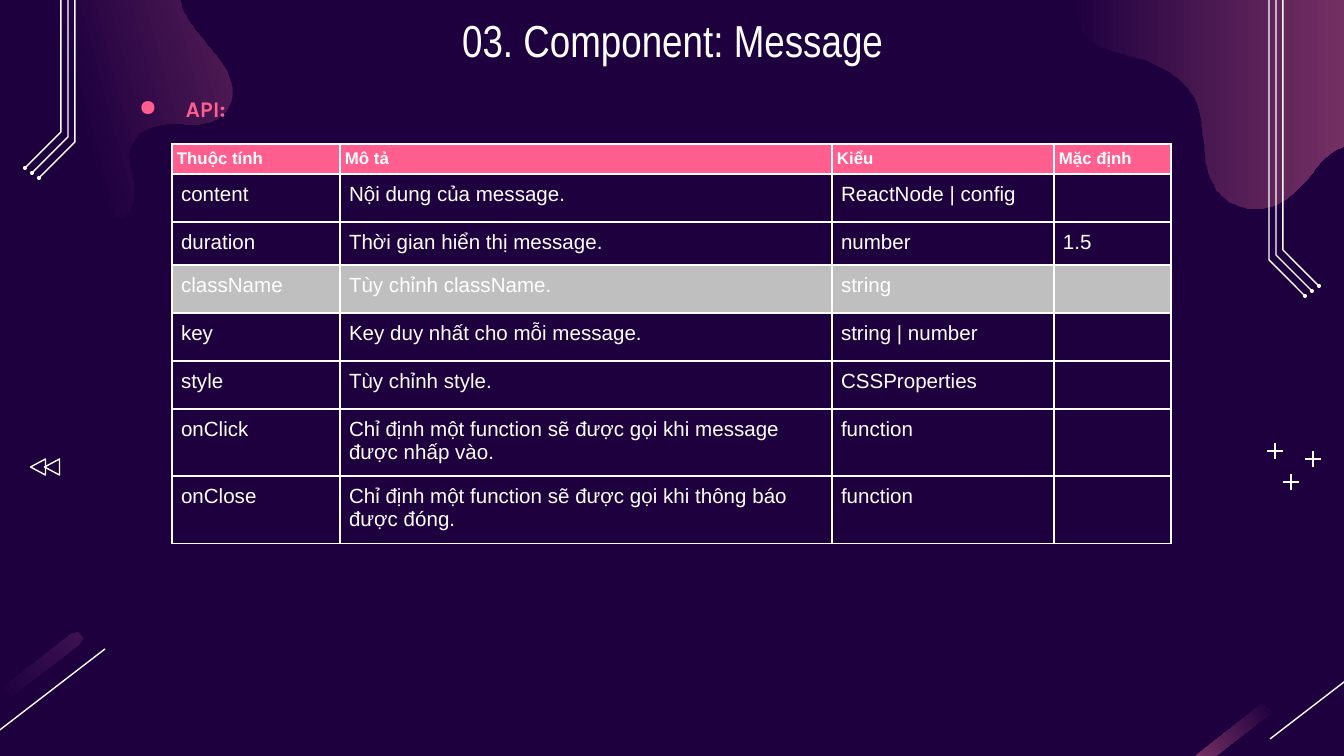
import dataclasses

import lxml.etree
import pptx
import pptx.dml.color
import pptx.enum.shapes
import pptx.enum.text
import pptx.oxml
import pptx.oxml.ns
import pptx.util

SCALE = 9144000 / 1344
SHAPES = pptx.enum.shapes.MSO_SHAPE


@dataclasses.dataclass
class Theme:
    bg: str = "1E003F"
    white: str = "FFFFFF"
    pink: str = "FF5E8E"
    gray: str = "BFBFBF"
    plum: str = "743063"
    dusk: str = "521C55"
    shade: str = "3D1150"
    font: str = "Arial"
    title_font: str = "Arial Narrow"
    label_font: str = "Karla"
    title_size: int = 24
    label_size: int = 12
    head_size: int = 9
    body_size: int = 11
    line: float = 0.75
    border: int = 1


def px(n):
    return round(n * SCALE)


def rgb(value):
    return pptx.dml.color.RGBColor.from_string(value)


def smooth(points, steps=8):
    padded = [points[0], *points, points[-1]]
    curve = []
    for a, b, c, d in zip(padded, padded[1:], padded[2:], padded[3:]):
        for t in (i / steps for i in range(steps)):
            curve.append(tuple(
                (2 * q + (r - p) * t + (2 * p - 5 * q + 4 * r - s) * t ** 2
                 + (3 * q - p - 3 * r + s) * t ** 3) / 2
                for p, q, r, s in zip(a, b, c, d)))
    return curve + [points[-1]]


class Deck:
    """Draws themed elements on the current slide."""

    def __init__(self, theme):
        self.theme = theme
        self.prs = pptx.Presentation()
        self.prs.slide_width, self.prs.slide_height = px(1344), px(756)

    def slide(self):
        self.s = self.prs.slides.add_slide(self.prs.slide_layouts[6])
        self.s.background.fill.solid()
        self.s.background.fill.fore_color.rgb = rgb(self.theme.bg)

    def stroke(self, sp):
        sp.line.color.rgb = rgb(self.theme.white)
        sp.line.width = pptx.util.Pt(self.theme.line)

    def outline(self, points, close):
        fb = self.s.shapes.build_freeform(*points[0], scale=SCALE)
        fb.add_line_segments(points[1:], close=close)
        sp = fb.convert_to_shape()
        sp.shadow.inherit = False
        return sp

    def gradient(self, points, colors, angle, start=0):
        sp = self.outline(points, True)
        sp.line.fill.background()
        sp.fill.gradient()
        sp.fill.gradient_angle = angle
        for stop, color, position in zip(sp.fill.gradient_stops, colors, (start, 1)):
            stop.color.rgb = rgb(color)
            stop.position = position

    def polyline(self, points):
        sp = self.outline(points, False)
        sp.fill.background()
        self.stroke(sp)

    def line(self, x1, y1, x2, y2):
        c = self.s.shapes.add_connector(
            pptx.enum.shapes.MSO_CONNECTOR.STRAIGHT, px(x1), px(y1), px(x2), px(y2))
        self.stroke(c)
        lxml.etree.SubElement(c._element.spPr, pptx.oxml.ns.qn("a:effectLst"))

    def shape(self, kind, cx, cy, w, h, rotation=0, filled=False):
        sp = self.s.shapes.add_shape(kind, px(cx - w / 2), px(cy - h / 2), px(w), px(h))
        sp.shadow.inherit = False
        sp.rotation = rotation
        if filled:
            sp.fill.solid()
            sp.fill.fore_color.rgb = rgb(self.theme.white)
            sp.line.fill.background()
        else:
            sp.fill.background()
            self.stroke(sp)

    def style(self, p, font, size, color, bold=False):
        p.font.name, p.font.size, p.font.bold = font, pptx.util.Pt(size), bold
        p.font.color.rgb = rgb(color)

    def text(self, text, x, y, w, h, font, size, color, bold=False):
        tf = self.s.shapes.add_textbox(px(x), px(y), px(w), px(h)).text_frame
        tf.word_wrap = True
        tf.margin_left = tf.margin_right = tf.margin_top = tf.margin_bottom = px(13)
        p = tf.paragraphs[0]
        p.text = text
        self.style(p, font, size, color, bold)
        return p

    def title(self, text, *box):
        t = self.theme
        p = self.text(text, *box, t.title_font, t.title_size, t.white)
        p.alignment = pptx.enum.text.PP_ALIGN.CENTER

    def bullet(self, text, *box):
        t = self.theme
        p = self.text(text, *box, t.label_font, t.label_size, t.pink, True)
        p.line_spacing = 1.5
        pPr = p._p.get_or_add_pPr()
        pPr.set("marL", str(px(67)))
        pPr.set("indent", str(px(-47)))
        ns = pptx.oxml.ns.nsdecls("a")
        color = pptx.oxml.parse_xml(
            f'<a:buClr {ns}><a:srgbClr val="{t.pink}"/></a:buClr>')
        mark = pptx.oxml.parse_xml(f'<a:buChar {ns} char="●"/>')
        at = pPr.index(pPr.find(pptx.oxml.ns.qn("a:defRPr")))
        pPr[at:at] = [color, mark]

    def cell(self, cell, text, inset, size, bold, fill):
        t = self.theme
        cell.margin_left = cell.margin_right = px(inset)
        cell.margin_top = cell.margin_bottom = px(inset)
        p = cell.text_frame.paragraphs[0]
        p.text = text
        self.style(p, t.font, size, t.white, bold)
        tcPr = cell._tc.get_or_add_tcPr()
        for side in ("lnL", "lnR", "lnT", "lnB"):
            tcPr.append(pptx.oxml.parse_xml(
                f'<a:{side} {pptx.oxml.ns.nsdecls("a")} w="{pptx.util.Pt(t.border)}">'
                f'<a:solidFill><a:srgbClr val="{t.white}"/></a:solidFill></a:{side}>'))
        if fill:
            cell.fill.solid()
            cell.fill.fore_color.rgb = rgb(fill)
        else:
            cell.fill.background()

    def table(self, rows, x, y, widths, heights, fills):
        t = self.theme
        table = self.s.shapes.add_table(
            len(rows), len(widths), px(x), px(y), px(sum(widths)), px(sum(heights))).table
        table.horz_banding = False
        for column, width in zip(table.columns, widths):
            column.width = px(width)
        for i, (row, height) in enumerate(zip(rows, heights)):
            table.rows[i].height = px(height)
            look = (9, t.body_size, False) if i else (5, t.head_size, True)
            for j, text in enumerate(row):
                self.cell(table.cell(i, j), text, *look, fills.get(i))


def main():
    t = Theme()
    d = Deck(t)
    d.slide()

    left_edge = [(180, 0), (187, 18), (205, 42), (225, 68), (232, 90), (228, 108),
                 (215, 120), (195, 125), (170, 124), (145, 130), (131, 147),
                 (130, 165), (134, 185), (133, 205), (124, 218)]
    right_edge = [(1068, 0), (1075, 20), (1090, 40), (1115, 52), (1150, 62),
                  (1180, 80), (1198, 105), (1204, 140), (1208, 170), (1222, 196),
                  (1250, 209), (1280, 203), (1305, 182), (1325, 158), (1344, 146)]
    d.gradient(smooth(left_edge) + [(0, 218), (0, 0)], (t.bg, t.dusk), 15, 0.35)
    d.gradient(smooth(right_edge) + [(1344, 0)], (t.bg, t.plum), 0)
    d.gradient([(0, 689), (71, 634), (78, 632), (83, 638), (79, 645), (0, 706)],
               (t.bg, t.shade), 38)
    d.gradient([(1195, 756), (1262, 704), (1272, 712), (1216, 756)], (t.plum, t.bg), 38)
    for x in (-12, 1270):
        d.line(x, 739, x + 117, 649)

    for mirrored, drop in ((False, 0), (True, 118)):
        for i in range(3):
            x, y = 61 + 7 * i, 132 + 5 * i + drop
            track = [(x, 0), (x, y), (x - 36, y + 36)]
            if mirrored:
                track = [(1344 - a, b) for a, b in track]
            d.polyline(track)
            d.shape(SHAPES.OVAL, *track[-1], 4, 4, filled=True)
    for x, y in ((1275, 451), (1313, 459), (1291, 482)):
        d.line(x - 8, y, x + 8, y)
        d.line(x, y - 8, x, y + 8)
    for x in (38, 52):
        d.shape(SHAPES.ISOSCELES_TRIANGLE, x, 467, 16, 15, 270)

    d.bullet("API:", 106, 69, 1091, 65)
    d.title("03. Component: Message", 106, 0, 1133, 85)
    rows = [
        ("Thuộc tính", "Mô tả", "Kiểu", "Mặc định"),
        ("content", "Nội dung của message.", "ReactNode | config", ""),
        ("duration", "Thời gian hiển thị message.", "number", "1.5"),
        ("className", "Tùy chỉnh className.", "string", ""),
        ("key", "Key duy nhất cho mỗi message.", "string | number", ""),
        ("style", "Tùy chỉnh style.", "CSSProperties", ""),
        ("onClick", "Chỉ định một function sẽ được gọi khi message được nhấp vào.",
         "function", ""),
        ("onClose", "Chỉ định một function sẽ được gọi khi thông báo được đóng.",
         "function", ""),
    ]
    d.table(rows, 172, 144, (168, 492, 222, 117), (30, 48, 42, 48, 48, 48, 64, 65),
            {0: t.pink, 3: t.gray})
    d.prs.save("out.pptx")


if __name__ == "__main__":
    main()
